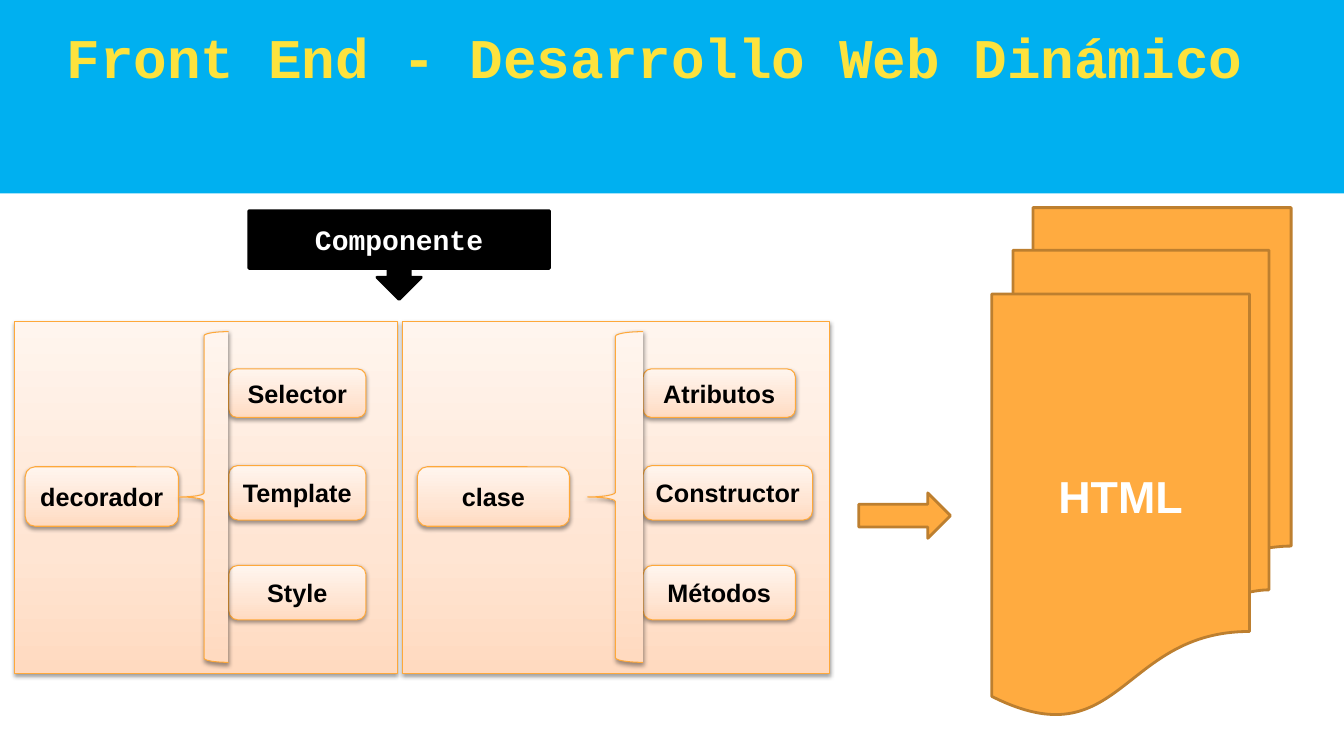
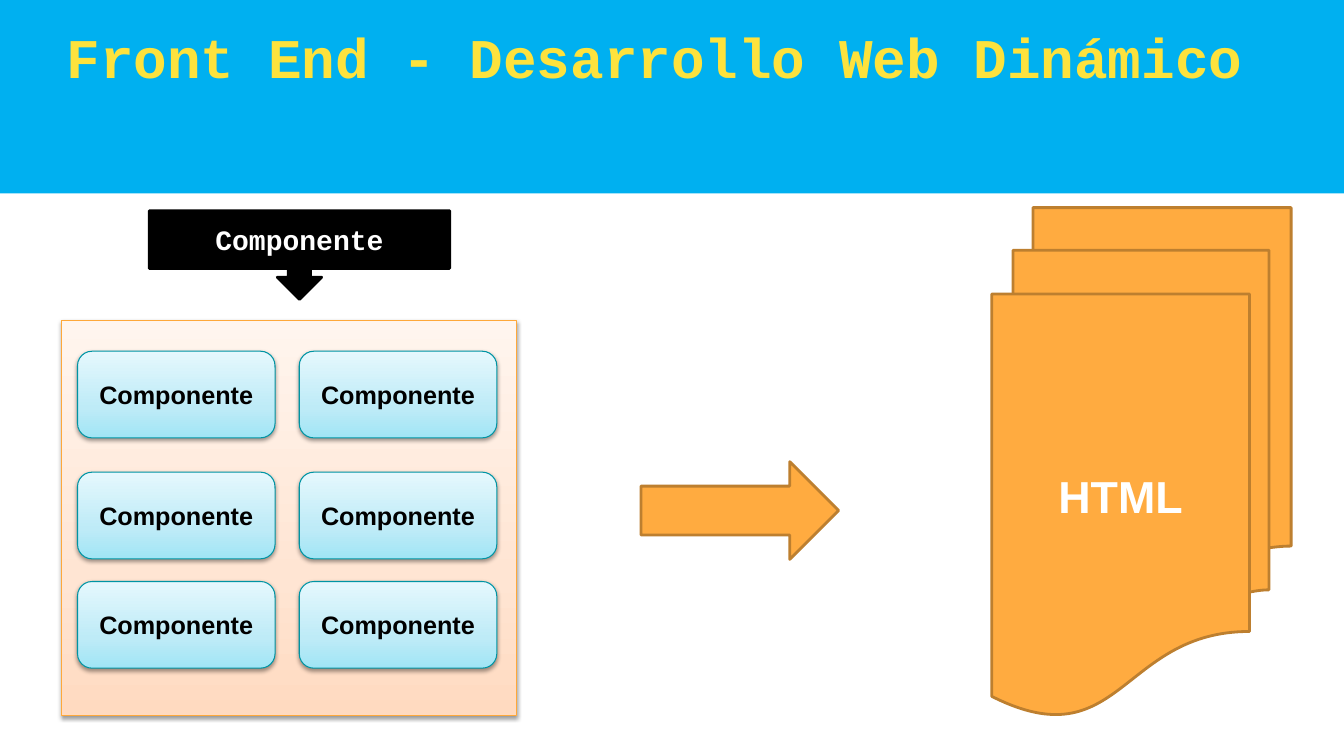
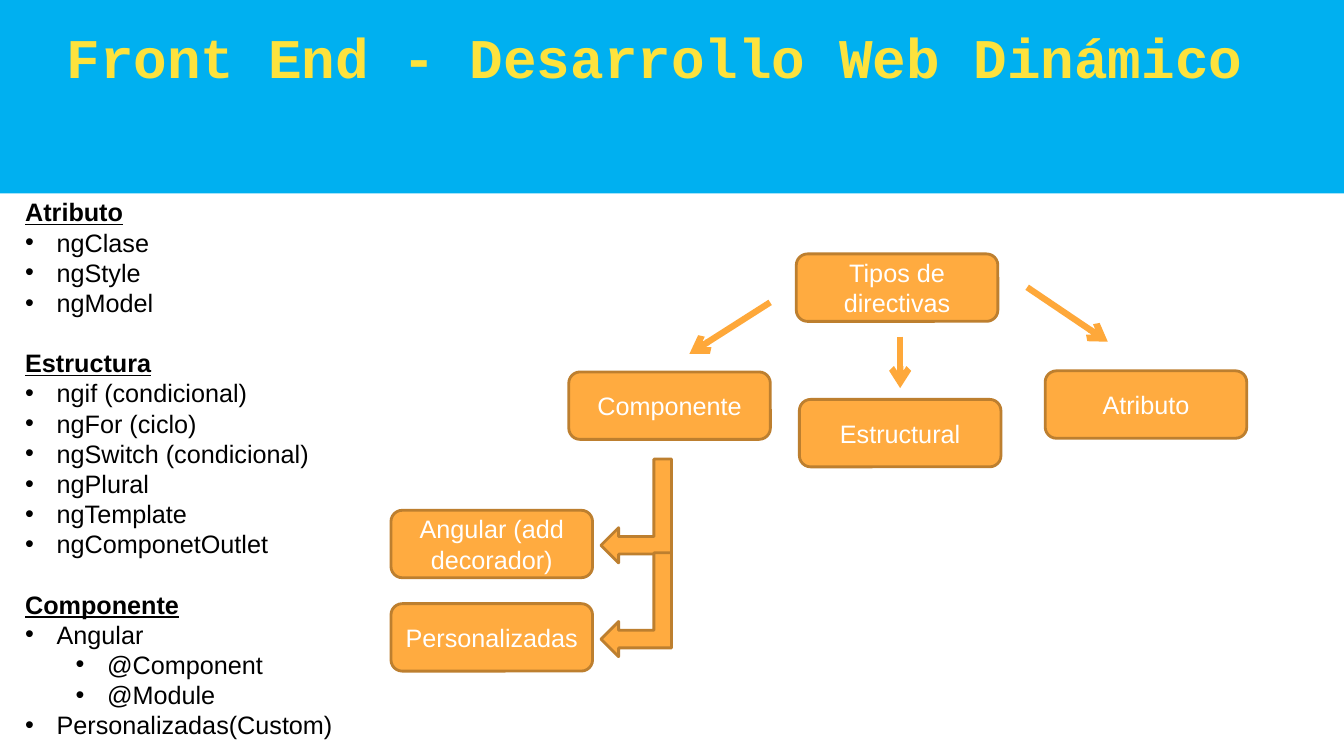
from dataclasses import dataclass
from itertools import product
from typing import Optional

from lxml.etree import SubElement
from pptx import Presentation
from pptx.dml.color import RGBColor
from pptx.enum.shapes import MSO_CONNECTOR as Link, MSO_SHAPE as Geo
from pptx.enum.text import MSO_ANCHOR as Anchor, PP_ALIGN as Align
from pptx.oxml.ns import qn
from pptx.util import Pt


# Theme: colours, fonts and type sizes
@dataclass(frozen=True)
class Theme:
    band: str = "00B0F0"
    title: str = "FDE23D"
    black: str = "000000"
    white: str = "FFFFFF"
    orange: str = "FFAB40"
    orange_edge: str = "BD7F2F"
    accent: str = "FEA83A"
    teal_edge: str = "0094A3"
    peach: tuple = ((0, "FFDAC0"), (35, "FFE5D3"), (100, "FFF5EE"))
    sky: tuple = ((0, "A0E5F5"), (35, "BEEBF7"), (100, "E5F8FD"))
    sans: str = "Arial"
    mono: str = "Courier New"
    title_size: float = 40
    page_size: float = 32
    callout_size: float = 20
    body_size: float = 18
    body_pitch: float = 21.55


THEME = Theme()


@dataclass(frozen=True)
class TextStyle:
    color: str
    size: float = THEME.body_size
    font: str = THEME.sans
    bold: bool = False
    underline: bool = False


@dataclass(frozen=True)
class Look:
    fill: object  # one colour, or gradient stops
    edge: str
    edge_width: float
    shadow: bool = False


@dataclass(frozen=True)
class Box:
    left: float
    top: float
    width: float
    height: float

    def lengths(self) -> tuple:
        return Pt(self.left), Pt(self.top), Pt(self.width), Pt(self.height)


@dataclass(frozen=True)
class Branch:
    panel_left: float
    panel_width: float
    root: str
    root_left: float
    root_width: float
    brace_left: float
    leaf_left: float
    leaves: tuple  # (label, width)


TITLE = TextStyle(THEME.title, THEME.title_size, THEME.mono, bold=True)
CALLOUT = TextStyle(THEME.white, THEME.callout_size, THEME.mono, bold=True)
PAGE = TextStyle(THEME.white, THEME.page_size, bold=True)
LABEL = TextStyle(THEME.black, bold=True)
NODE = TextStyle(THEME.white)
ITEM = TextStyle(THEME.black)
HEADING = TextStyle(THEME.black, bold=True, underline=True)

SOLID = Look(THEME.orange, THEME.orange_edge, 2)
DARK = Look(THEME.black, THEME.black, 2)
PEACH = Look(THEME.peach, THEME.accent, 0.75, shadow=True)
SKY = Look(THEME.sky, THEME.teal_edge, 0.75, shadow=True)

# Content
BRANCHES = (
    Branch(10.1, 273.6, "decorador", 18, 109.4, 128.2, 163.4,
           (("Selector", 98), ("Template", 98), ("Style", 98))),
    Branch(287.3, 305.3, "clase", 298.1, 108.7, 419.8, 459.4,
           (("Atributos", 108.7), ("Constructor", 121), ("Métodos", 108.7))),
)
LEAF_ROWS = ((263.5, 34.6), (332.6, 38.9), (403.9, 38.9))

DIRECTIVES = (  # text, level: 0 heading, 1 and 2 bullets
    ("Atributo", 0), ("ngClase", 1), ("ngStyle", 1), ("ngModel", 1),
    ("Estructura", 0), ("ngif (condicional)", 1), ("ngFor (ciclo)", 1),
    ("ngSwitch (condicional)", 1), ("ngPlural", 1), ("ngTemplate", 1),
    ("ngComponetOutlet", 1),
    ("Componente", 0), ("Angular", 1), ("@Component", 2), ("@Module", 2),
    ("Personalizadas(Custom)", 1),
)
TREE_NODES = (
    ("Tipos de directivas", 568.8, 181.4), ("Componente", 406.3, 265.7),
    ("Estructural", 571, 285.3), ("Atributo", 746.6, 264.9),
    ("Angular (add decorador)", 279.3, 364.5),
    ("Personalizadas", 279.3, 431.2),
)
TREE_ARROWS = (
    (550.1, 216, 492.5, 252.7), (733.7, 205.2, 791.3, 244.1),
    (643, 240.5, 643, 277.2),
)


# Drawing helpers
def rgb(color: str) -> RGBColor:
    return RGBColor.from_string(color)


def write(paragraph, text: str, style: TextStyle) -> None:
    run = paragraph.add_run()
    run.text = text
    font = run.font
    font.name, font.size = style.font, Pt(style.size)
    font.bold, font.underline = style.bold, style.underline
    font.color.rgb = rgb(style.color)


def add_color(parent, color: str):
    return SubElement(parent, qn("a:srgbClr"), val=color)


def fill_gradient(shape, stops: tuple) -> None:
    shape.fill.gradient()
    shape.fill.gradient_angle = 90
    stop_list = shape.element.spPr.find(".//" + qn("a:gsLst"))
    for default_stop in list(stop_list):
        stop_list.remove(default_stop)
    for percent, color in stops:
        add_color(SubElement(stop_list, qn("a:gs"), pos=str(percent * 1000)), color)


def cast_shadow(shape) -> None:
    effects = shape.element.spPr.find(qn("a:effectLst"))
    outer = SubElement(effects, qn("a:outerShdw"), blurRad=str(Pt(3.1)),
                       dist=str(Pt(1.6)), dir="5400000", rotWithShape="0")
    SubElement(add_color(outer, THEME.black), qn("a:alpha"), val="38000")


def draw(shapes, geometry, box: Box, look: Look, text: str = "",
         style: Optional[TextStyle] = None):
    shape = shapes.add_shape(geometry, *box.lengths())
    shape.shadow.inherit = False
    if isinstance(look.fill, tuple):
        fill_gradient(shape, look.fill)
    else:
        shape.fill.solid()
        shape.fill.fore_color.rgb = rgb(look.fill)
    if look.edge_width:
        shape.line.color.rgb = rgb(look.edge)
        shape.line.width = Pt(look.edge_width)
    else:
        shape.line.fill.background()
    if look.shadow:
        cast_shadow(shape)
    if text:
        shape.text_frame.vertical_anchor = Anchor.MIDDLE
        paragraph = shape.text_frame.paragraphs[0]
        paragraph.alignment = Align.CENTER
        write(paragraph, text, style)
    return shape


def text_area(shapes, box: Box, side: float, vertical: float):
    frame = shapes.add_textbox(*box.lengths()).text_frame
    frame.word_wrap = True
    frame.vertical_anchor = Anchor.TOP
    frame.margin_left = frame.margin_right = Pt(side)
    frame.margin_top = frame.margin_bottom = Pt(vertical)
    return frame


def draw_arrow(shapes, x1: float, y1: float, x2: float, y2: float) -> None:
    arrow = shapes.add_connector(Link.STRAIGHT, Pt(x1), Pt(y1), Pt(x2), Pt(y2))
    arrow.line.color.rgb = rgb(THEME.accent)
    arrow.line.width = Pt(4.5)
    properties = arrow.element.spPr
    SubElement(properties.find(qn("a:ln")), qn("a:tailEnd"), type="arrow")
    SubElement(properties, qn("a:effectLst"))


def add_bullet(paragraph, level: int) -> None:
    properties = paragraph._p.get_or_add_pPr()
    properties.set("marL", str(Pt(22.5 + 36 * (level - 1))))
    properties.set("indent", str(Pt(-22.5)))
    SubElement(properties, qn("a:buFont"), typeface=THEME.sans)
    SubElement(properties, qn("a:buChar"), char="•")


# Parts shared by slides
def start_slide(deck):
    shapes = deck.slides.add_slide(deck.slide_layouts[6]).shapes
    draw(shapes, Geo.RECTANGLE, Box(0, 0, 960, 138.2), Look(THEME.band, THEME.band, 0))
    title = text_area(shapes, Box(43.9, 12.2, 867.6, 94.3), 3.6, 3.6)
    write(title.paragraphs[0], "Front End - Desarrollo Web Dinámico", TITLE)
    return shapes


def draw_component_to_html(shapes, callout_left: float, arrow: Box) -> None:
    draw(shapes, Geo.DOWN_ARROW_CALLOUT, Box(callout_left, 150.5, 214.6, 63.4),
         DARK, "Componente", CALLOUT)
    draw(shapes, Geo.FLOWCHART_MULTIDOCUMENT, Box(708.5, 148.3, 213.8, 362.9),
         SOLID, "HTML", PAGE)
    draw(shapes, Geo.RIGHT_ARROW, arrow, SOLID)


# Slide 1: anatomy of a component
def draw_branch(shapes, branch: Branch) -> None:
    group = shapes.add_group_shape().shapes
    draw(group, Geo.RECTANGLE,
         Box(branch.panel_left, 229.7, branch.panel_width, 251.3), PEACH)
    for (label, width), (top, height) in zip(branch.leaves, LEAF_ROWS):
        draw(group, Geo.ROUNDED_RECTANGLE,
             Box(branch.leaf_left, top, width, height), PEACH, label, LABEL)
    draw(group, Geo.ROUNDED_RECTANGLE,
         Box(branch.root_left, 333.4, branch.root_width, 42.5),
         PEACH, branch.root, LABEL)
    draw(group, Geo.LEFT_BRACE,
         Box(branch.brace_left, 236.9, branch.leaf_left - branch.brace_left, 236.2),
         PEACH)


def build_anatomy(deck) -> None:
    shapes = start_slide(deck)
    for branch in BRANCHES:
        draw_branch(shapes, branch)
    draw_component_to_html(shapes, 177.8, Box(613.4, 352.1, 65.5, 32.4))


# Slide 2: a component made of components
def build_composition(deck) -> None:
    shapes = start_slide(deck)
    draw(shapes, Geo.RECTANGLE, Box(43.9, 229, 325.4, 282.2), PEACH)
    for top, left in product((250.9, 337.3, 415.4), (55.4, 213.8)):
        draw(shapes, Geo.ROUNDED_RECTANGLE, Box(left, top, 141.1, 61.9),
             SKY, "Componente", LABEL)
    draw_component_to_html(shapes, 106.6, Box(457.9, 329.8, 141.1, 69.8))


# Slide 3: kinds of directives
def draw_directive_list(shapes) -> None:
    frame = text_area(shapes, Box(8.6, 140.6, 260, 390), 9.4, 0)
    for index, (text, level) in enumerate(DIRECTIVES):
        paragraph = frame.add_paragraph() if index else frame.paragraphs[0]
        paragraph.line_spacing = Pt(THEME.body_pitch)
        paragraph.space_before = Pt(0 if level or not index else THEME.body_pitch)
        if level:
            paragraph.level = level - 1
            add_bullet(paragraph, level)
        write(paragraph, text, ITEM if level else HEADING)


def build_directives(deck) -> None:
    shapes = start_slide(deck)
    draw_directive_list(shapes)
    for label, left, top in TREE_NODES:
        draw(shapes, Geo.FLOWCHART_ALTERNATE_PROCESS, Box(left, top, 144, 48.2),
             SOLID, label, NODE)
    for ends in TREE_ARROWS:
        draw_arrow(shapes, *ends)
    for top in (339.8, 406.8):
        elbow = draw(shapes, Geo.BENT_UP_ARROW, Box(417.4, top, 74.2, 50.4), SOLID)
        elbow.rotation = 270
        elbow.element.spPr.find(qn("a:xfrm")).set("flipH", "1")


def main() -> None:
    deck = Presentation()
    deck.slide_width, deck.slide_height = Pt(960), Pt(540)
    build_anatomy(deck)
    build_composition(deck)
    build_directives(deck)
    deck.save("out.pptx")


if __name__ == "__main__":
    main()
